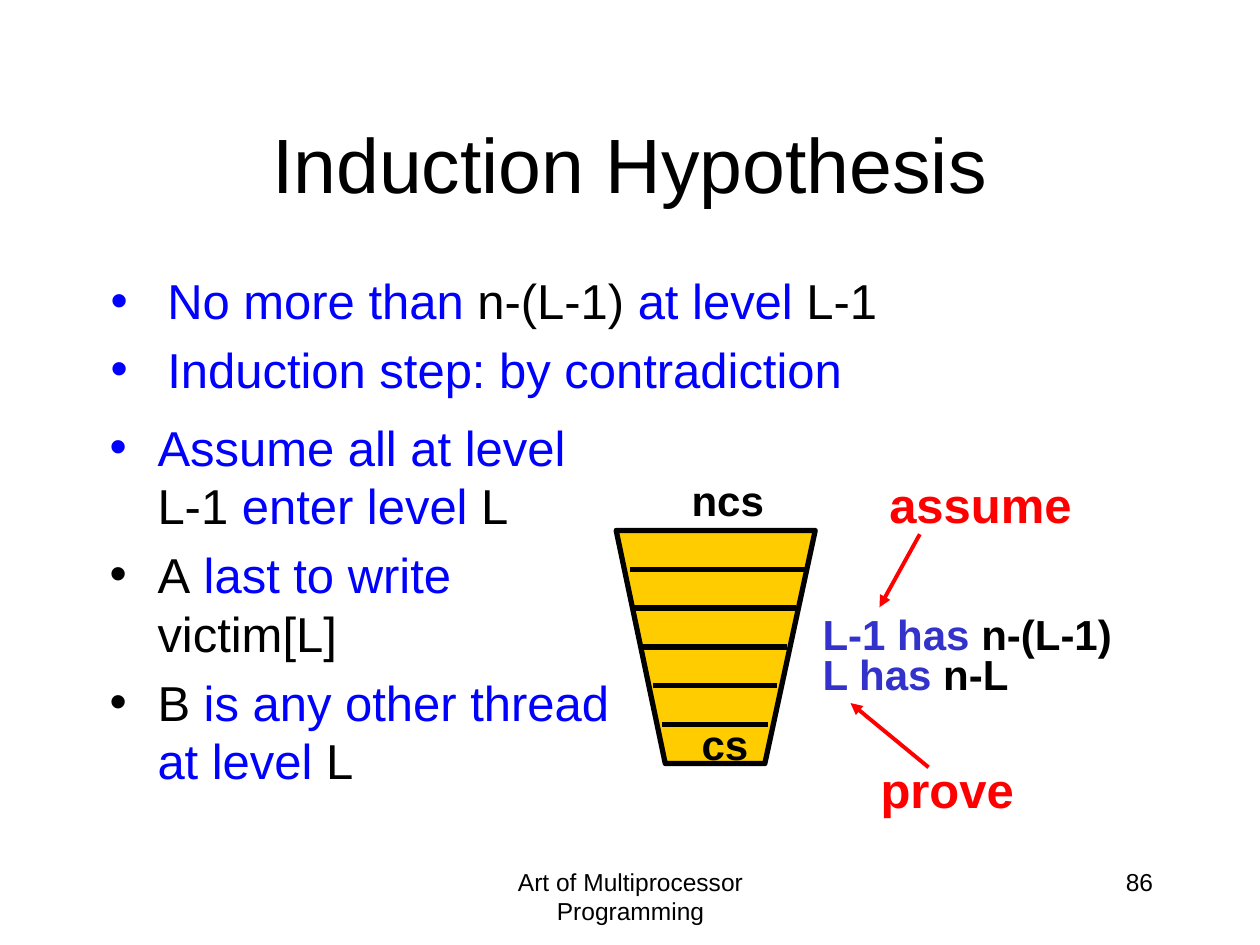
from lxml import etree
from pptx import Presentation
from pptx.dml.color import RGBColor
from pptx.enum.shapes import MSO_CONNECTOR
from pptx.enum.text import MSO_ANCHOR, MSO_AUTO_SIZE, PP_ALIGN
from pptx.oxml.ns import qn
from pptx.util import Inches, Pt

STRAIGHT = MSO_CONNECTOR.STRAIGHT
MIDDLE = MSO_ANCHOR.MIDDLE
FIXED = MSO_AUTO_SIZE.NONE
LEFT, CENTER, RIGHT = PP_ALIGN.LEFT, PP_ALIGN.CENTER, PP_ALIGN.RIGHT

FONT = "Arial"
BLACK, BLUE, INDIGO = "000000", "0000FF", "3333CC"
RED, GOLD = "FF0000", "FFCC00"
CELL = Inches(1)  # the slide is a grid of 10 columns by 7.5 rows

prs = Presentation()
prs.slide_width, prs.slide_height = 10 * CELL, int(7.5 * CELL)
slide = prs.slides.add_slide(prs.slide_layouts[1])
shapes = slide.shapes


def write(frame, paragraphs, size, bold=False, align=LEFT, indent=None):
    """Fill a frame with paragraphs of (text, colour) runs; an indent adds bullets."""
    for i, runs in enumerate(paragraphs):
        paragraph = frame.paragraphs[0] if i == 0 else frame.add_paragraph()
        paragraph.alignment = align
        paragraph.space_before = Pt(0.2 * size if i else 0)
        if indent:
            props = paragraph._p.get_or_add_pPr()
            props.set("marL", str(int(indent * CELL)))
            props.set("indent", str(int(-indent * CELL)))
            etree.SubElement(props, qn("a:buFont"), typeface=FONT)
            etree.SubElement(props, qn("a:buChar"), char="•")
        paragraph.font.name = FONT
        paragraph.font.size = Pt(size)
        paragraph.font.bold = bold
        for text, colour in runs:
            run = paragraph.add_run()
            run.text = text
            run.font.color.rgb = RGBColor.from_string(colour)


def add_line(start, end, colour, width, arrow=False):
    ends = [int(v * CELL) for v in (*start, *end)]
    connector = shapes.add_connector(STRAIGHT, *ends)
    connector.line.color.rgb = RGBColor.from_string(colour)
    connector.line.width = Pt(width)
    if arrow:
        etree.SubElement(connector.line._get_or_add_ln(), qn("a:tailEnd"), type="triangle")
    etree.SubElement(connector._element.spPr, qn("a:effectLst"))


# Title and the lower list
title, argument = shapes.title, slide.placeholders[1]
for holder, area in ((title, (0.75, 0.67, 8.5, 1.25)), (argument, (0.77, 3.26, 4.17, 3.82))):
    holder.left, holder.top, holder.width, holder.height = [int(v * CELL) for v in area]
    holder.text_frame.auto_size = FIXED
title.text_frame.vertical_anchor = MIDDLE
write(title.text_frame, [[("Induction Hypothesis", BLACK)]], 44, align=CENTER)
write(argument.text_frame, [
    [("Assume all at level", BLUE), (" L-1", BLACK), (" enter level ", BLUE), ("L", BLACK)],
    [("A", BLACK), (" last to write ", BLUE), ("victim[L]", BLACK)],
    [("B", BLACK), (" is any other thread at level ", BLUE), ("L", BLACK)],
], 28, indent=0.38)

# Upper list
hypothesis = shapes.add_textbox(*[int(v * CELL) for v in (0.78, 2.1, 6.37, 1.14)])
hypothesis.text_frame.word_wrap = False
write(hypothesis.text_frame, [
    [("No more than ", BLUE), ("n-(L-1) ", BLACK), ("at level ", BLUE), ("L-1", BLACK)],
    [("Induction step: by contradiction", BLUE)],
], 28, indent=0.45)

# Funnel of levels
TOP, BOTTOM, LEVELS = 4.21, 6.06, 6
corners = [(int(x * CELL), int(y * CELL)) for x, y in
           ((4.89, TOP), (5.28, BOTTOM), (6.07, BOTTOM), (6.47, TOP))]
builder = shapes.build_freeform(*corners[0])
builder.add_line_segments(corners[1:], close=True)
funnel = builder.convert_to_shape()
funnel.shadow.inherit = False
funnel.fill.solid()
funnel.fill.fore_color.rgb = RGBColor.from_string(GOLD)
funnel.line.color.rgb = RGBColor.from_string(BLACK)
funnel.line.width = Pt(3)
for level in range(1, LEVELS):
    y = TOP + level * (BOTTOM - TOP) / LEVELS
    inset = 0.075 * level
    add_line((max(5, 4.88 + inset), y), (6.47 - inset, y), BLACK, 3)

# Labels around the funnel
for left, top, width, height, size, runs in (
    (5.39, 3.72, 0.78, 0.5, 24, [("ncs", BLACK)]),
    (5.47, 5.65, 0.58, 0.5, 24, [("cs", BLACK)]),
    (6.43, 4.78, 2.52, 0.5, 24, [("L-1 has ", INDIGO), ("n-(L-1)", BLACK)]),
    (6.43, 5.1, 1.69, 0.5, 24, [("L has ", INDIGO), ("n-L", BLACK)]),
    (6.96, 3.72, 1.67, 0.57, 28, [("assume", RED)]),
    (6.89, 5.98, 1.27, 0.57, 28, [("prove", RED)]),
):
    label = shapes.add_textbox(*[int(v * CELL) for v in (left, top, width, height)])
    label.text_frame.word_wrap = False
    write(label.text_frame, [runs], size, bold=True)

# Arrows from the remarks to the bounds
add_line((7.3, 4.24), (6.98, 4.82), RED, 2.25, arrow=True)
add_line((7.37, 6.09), (6.75, 5.58), RED, 2.25, arrow=True)

# Footer and slide number
for left, width, text, align in (
    (3.42, 3.17, "Art of Multiprocessor Programming", CENTER),
    (7.17, 2.08, "86", RIGHT),
):
    footer = shapes.add_textbox(*[int(v * CELL) for v in (left, 6.83, width, 0.5)])
    footer.text_frame.word_wrap = True
    write(footer.text_frame, [[(text, BLACK)]], 14, align=align)

prs.save("out.pptx")
